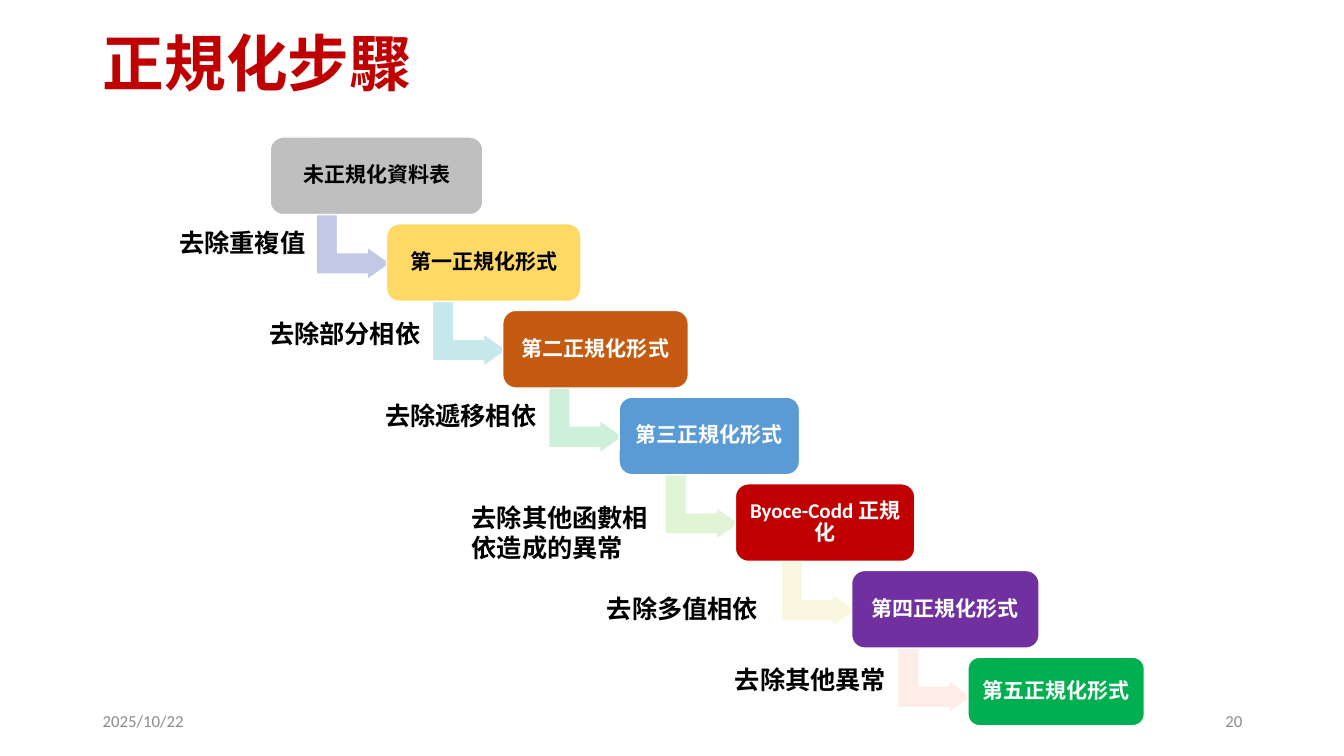
import dataclasses

import lxml.etree
import pptx
import pptx.dml.color
import pptx.enum.shapes
import pptx.enum.text
import pptx.oxml.ns
import pptx.util

In = pptx.util.Inches
ALIGN = pptx.enum.text.PP_ALIGN
MIDDLE = pptx.enum.text.MSO_ANCHOR.MIDDLE
SHAPE = pptx.enum.shapes.MSO_SHAPE


@dataclasses.dataclass(frozen=True)
class Theme:
    latin: str = "Calibri"
    cjk: str = "Noto Sans CJK SC"
    title: str = "C00000"
    dark: str = "000000"
    light: str = "FFFFFF"
    muted: str = "8C8C8C"
    title_size: int = 44
    label_size: int = 18
    step_size: int = 15
    footer_size: int = 12


THEME = Theme()

STEPS = [
    ("未正規化資料表", 2.11, "BFBFBF", THEME.dark),
    ("第一正規化形式", 1.93, "FFD966", THEME.dark),
    ("第二正規化形式", 1.84, "C55A11", THEME.light),
    ("第三正規化形式", 1.79, "5B9BD5", THEME.light),
    ("Byoce-Codd 正規化", 1.78, "C00000", THEME.light),
    ("第四正規化形式", 1.86, "7030A0", THEME.light),
    ("第五正規化形式", 1.75, "00B050", THEME.light),
]

REMOVALS = [
    ("去除重複值", 1.68, 2.21, 1.46, "C1C9E4"),
    ("去除部分相依", 2.57, 3.11, 1.72, "C7E8EA"),
    ("去除遞移相依", 3.72, 3.92, 1.72, "CEF0DA"),
    ("去除其他函數相依造成的異常", 4.58, 4.93, 1.95, "E1F5D6"),
    ("去除多值相依", 5.92, 5.84, 1.72, "F9F7DE"),
    ("去除其他異常", 7.19, 6.54, 1.72, "FCEDE8"),
]


def rgb(value):
    return pptx.dml.color.RGBColor.from_string(value)


def write(tf, text, size, color, bold=True, align=ALIGN.LEFT, name=THEME.latin):
    tf.word_wrap = True
    p = tf.paragraphs[0]
    p.text = text
    p.alignment = align
    font = p.font
    font.size = pptx.util.Pt(size)
    font.bold = bold
    font.color.rgb = rgb(color)
    font.name = name
    ea = lxml.etree.SubElement(p._p.pPr.defRPr, pptx.oxml.ns.qn("a:ea"))
    ea.set("typeface", THEME.cjk)
    return p


def add_text(s, box, *args, **kwargs):
    tb = s.shapes.add_textbox(*map(In, box))
    write(tb.text_frame, *args, **kwargs)
    return tb


def add_block(s, kind, box, fill, adjustments):
    sp = s.shapes.add_shape(kind, *map(In, box))
    sp.shadow.inherit = False
    sp.fill.solid()
    sp.fill.fore_color.rgb = rgb(fill)
    sp.line.color.rgb = rgb(THEME.light)
    sp.line.width = pptx.util.Pt(1)
    for i, value in enumerate(adjustments):
        sp.adjustments[i] = value
    return sp


def add_title(s, box, text):
    sp = s.shapes.title
    sp.left, sp.top, sp.width, sp.height = map(In, box)
    tf = sp.text_frame
    tf.auto_size = pptx.enum.text.MSO_AUTO_SIZE.NONE
    tf.vertical_anchor = MIDDLE
    write(tf, text, THEME.title_size, THEME.title).line_spacing = 0.9


def add_step(s, box, text, fill, color):
    sp = add_block(s, SHAPE.ROUNDED_RECTANGLE, box, fill, [0.167])
    tf = sp.text_frame
    tf.vertical_anchor = MIDDLE
    tf.margin_left = tf.margin_right = In(0.1)
    tf.margin_top = tf.margin_bottom = In(0.1)
    p = write(tf, text, THEME.step_size, color, align=ALIGN.CENTER)
    p.line_spacing = 0.9


def add_staircase(s, box):
    left, top, width, height = box
    last = len(STEPS) - 1
    column = (width - STEPS[last][1]) / last
    row = 0.86
    for i, (text, step_width, fill, color) in enumerate(STEPS):
        x, y = left + i * column, top + i * row
        if i < last:
            arrow = add_block(s, SHAPE.BENT_UP_ARROW, (x + 0.5, y + 0.72, 0.65, 0.74),
                              REMOVALS[i][-1], [0.328, 0.25, 0.358])
            arrow.rotation = 90
        step_height = min(0.77, top + height - y)
        add_step(s, (x, y, step_width, step_height), text, fill, color)


def add_removals(s):
    for text, left, top, width, _ in REMOVALS:
        add_text(s, (left, top, width, 0.4), text, THEME.label_size, THEME.dark,
                 name=THEME.cjk)


def add_footer(s, box, date, number):
    left, top, width, height = box
    part = 3
    for x, text, align in ((left, date, ALIGN.LEFT),
                           (left + width - part, number, ALIGN.RIGHT)):
        tb = add_text(s, (x, top, part, height), text, THEME.footer_size,
                      THEME.muted, bold=False, align=align)
        tb.text_frame.vertical_anchor = MIDDLE


def main():
    prs = pptx.Presentation()
    prs.slide_width, prs.slide_height = In(13.33), In(7.5)
    s = prs.slides.add_slide(prs.slide_layouts[5])
    add_title(s, (0.92, 0.15, 11.5, 1.02), "正規化步驟")
    add_footer(s, (0.92, 6.95, 11.5, 0.4), "2025/10/22", "20")
    add_staircase(s, (2.68, 1.36, 8.67, 5.84))
    add_removals(s)
    prs.save("out.pptx")


if __name__ == "__main__":
    main()
